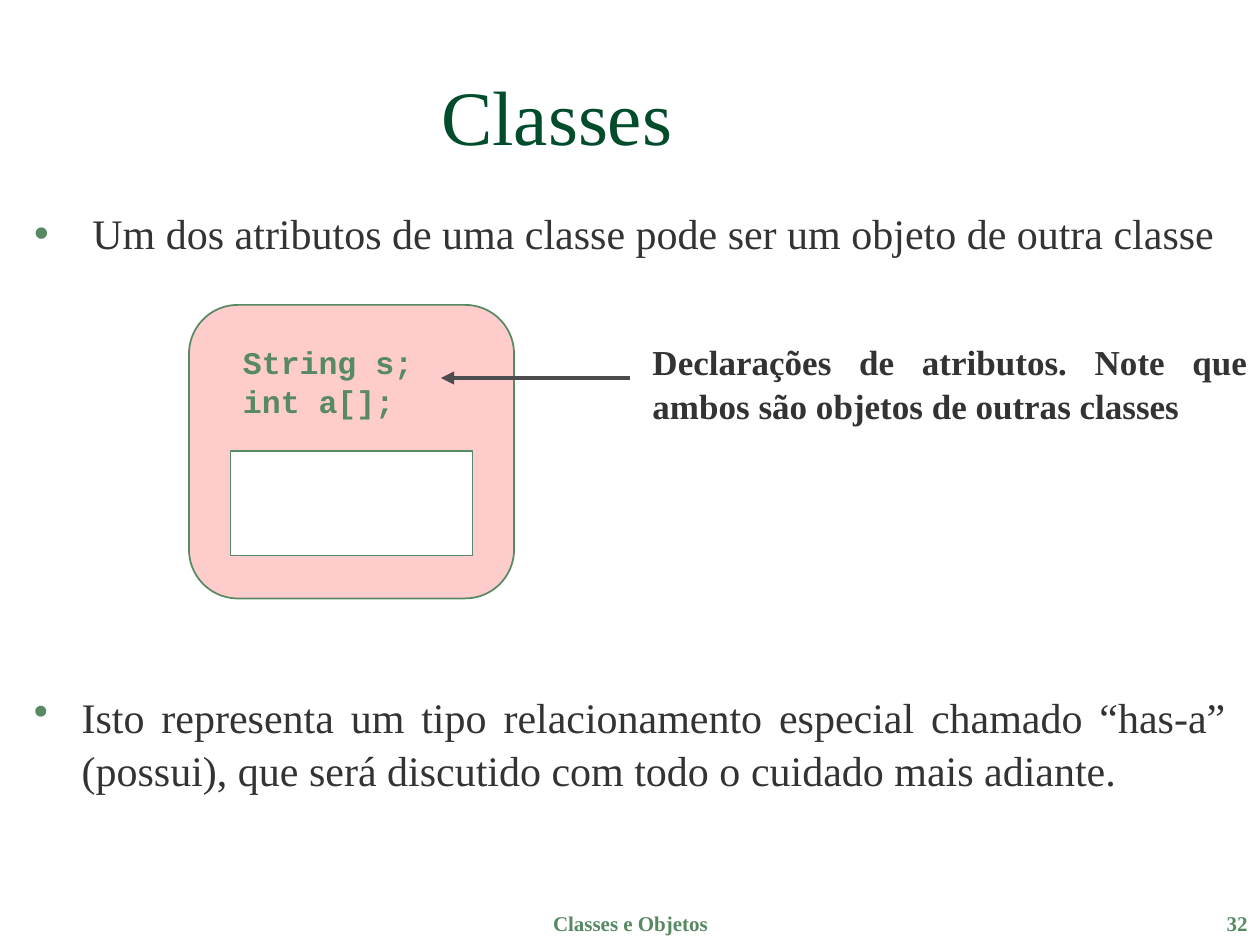
import pptx
import pptx.util
import pptx.dml.color
import pptx.enum.shapes
import pptx.enum.text
import pptx.oxml
import pptx.oxml.ns
from lxml import etree

Inches, Pt = pptx.util.Inches, pptx.util.Pt
RGBColor = pptx.dml.color.RGBColor
ALIGN = pptx.enum.text.PP_ALIGN
ANCHOR = pptx.enum.text.MSO_ANCHOR
SHAPE = pptx.enum.shapes.MSO_SHAPE

DARK_GREEN = RGBColor(0x00, 0x4C, 0x2B)
GREEN = RGBColor(0x57, 0x89, 0x63)
TEXT_GRAY = RGBColor(0x33, 0x33, 0x33)
ARROW_GRAY = RGBColor(0x4D, 0x4D, 0x4D)
PINK = RGBColor(0xFF, 0xCC, 0xCC)
WHITE = RGBColor(0xFF, 0xFF, 0xFF)
SERIF, MONO = "Times New Roman", "Courier New"

WIDTH, HEIGHT = 10, 7.5
MARGIN = 0.17
BODY_WIDTH = WIDTH - 2 * MARGIN
LINE_SPACING = 1.05

TITLE = "Classes"
BULLETS = [
    (1.58, " Um dos atributos de uma classe pode ser um objeto de outra classe"),
    (5.42, "Isto representa um tipo relacionamento especial chamado “has-a” (possui), "
           "que será discutido com todo o cuidado mais adiante."),
]
ATTRIBUTES = ["String s;", "int a[];"]
NOTE = "Declarações de atributos. Note que ambos são objetos de outras classes"
FOOTERS = [
    ("Classes e Objetos", 3.42, 3.17, ALIGN.CENTER),
    ("32", 7.92, 2.08, ALIGN.RIGHT),
]
CLASS_PARTS = [
    (SHAPE.FLOWCHART_ALTERNATE_PROCESS, (1.5, 2.42, 2.58, 2.33), PINK),
    (SHAPE.RECTANGLE, (1.83, 3.58, 1.92, 0.83), WHITE),
]


def write(shape, box, lines, size, color, align=ALIGN.LEFT, font=SERIF,
          bold=False, anchor=ANCHOR.TOP, wrap=True, bullet=False):
    shape.left, shape.top, shape.width, shape.height = map(Inches, box)
    frame = shape.text_frame
    frame.auto_size = pptx.enum.text.MSO_AUTO_SIZE.NONE
    frame.word_wrap = wrap
    frame.vertical_anchor = anchor
    for index, line in enumerate(lines):
        paragraph = frame.add_paragraph() if index else frame.paragraphs[0]
        paragraph.alignment = align
        paragraph.line_spacing = LINE_SPACING
        paragraph.space_before = Pt(0)
        if bullet:
            add_bullet(paragraph)
        run = paragraph.add_run()
        run.text = line
        run.font.name = font
        run.font.size = Pt(size)
        run.font.bold = bold
        run.font.color.rgb = color


def add_bullet(paragraph):
    properties = paragraph._p.get_or_add_pPr()
    indent = Inches(0.38)
    properties.set("marL", str(indent))
    properties.set("indent", str(-indent))
    color = etree.SubElement(properties, pptx.oxml.ns.qn("a:buClr"))
    etree.SubElement(color, pptx.oxml.ns.qn("a:srgbClr"), val=str(GREEN))
    etree.SubElement(properties, pptx.oxml.ns.qn("a:buChar"), char="•")


def add_arrow(slide, start, end):
    arrow = slide.shapes.add_connector(
        pptx.enum.shapes.MSO_CONNECTOR.STRAIGHT, *map(Inches, start + end))
    arrow.line.color.rgb = ARROW_GRAY
    arrow.line.width = Pt(2.5)
    etree.SubElement(arrow.line._get_or_add_ln(), pptx.oxml.ns.qn("a:tailEnd"),
                     type="triangle")
    etree.SubElement(arrow._element.spPr, pptx.oxml.ns.qn("a:effectLst"))


def main():
    presentation = pptx.Presentation()
    presentation.slide_width, presentation.slide_height = Inches(WIDTH), Inches(HEIGHT)
    slide = presentation.slides.add_slide(presentation.slide_layouts[1])
    shapes = slide.shapes

    def new_text_box():
        return shapes.add_textbox(0, 0, 0, 0)

    write(shapes.title, (MARGIN, 0.08, 8.5, 1.25), [TITLE], 44, DARK_GREEN,
          ALIGN.CENTER, anchor=ANCHOR.BOTTOM)

    for index, (top, text) in enumerate(BULLETS):
        shape = new_text_box() if index else slide.placeholders[1]
        write(shape, (MARGIN, top, BODY_WIDTH, 1), [text], 24, TEXT_GRAY,
              ALIGN.JUSTIFY, bullet=True)

    for kind, box, fill in CLASS_PARTS:
        shape = shapes.add_shape(kind, *map(Inches, box))
        shape.shadow.inherit = False
        shape.fill.solid()
        shape.fill.fore_color.rgb = fill
        shape.line.color.rgb = GREEN
        shape.line.width = Pt(1)

    write(new_text_box(), (1.83, 2.67, 1.55, 0.7), ATTRIBUTES, 18, GREEN,
          font=MONO, bold=True, anchor=ANCHOR.MIDDLE, wrap=False)
    write(new_text_box(), (5.08, 2.65, 4.92, 0.77), [NOTE], 20, TEXT_GRAY,
          ALIGN.JUSTIFY, bold=True, anchor=ANCHOR.MIDDLE)
    add_arrow(slide, (5, 3), (3.5, 3))

    for text, left, width, align in FOOTERS:
        write(new_text_box(), (left, 7.17, width, 0.5), [text], 12, GREEN, align, bold=True)

    presentation.save("out.pptx")


if __name__ == "__main__":
    main()
